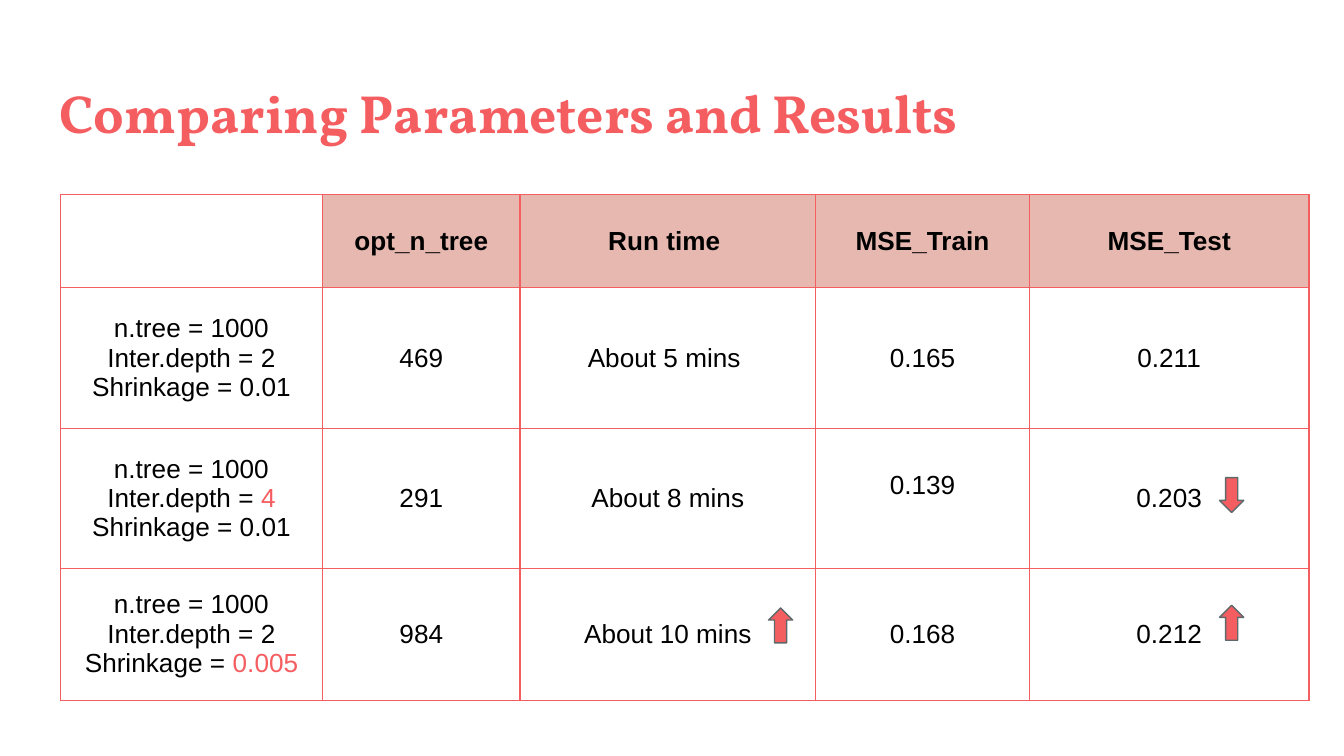
import pptx
import pptx.util
import pptx.dml.color
import pptx.enum.shapes
import pptx.enum.text
import pptx.oxml
import pptx.oxml.ns

Inches, Pt = pptx.util.Inches, pptx.util.Pt
MSO_SHAPE = pptx.enum.shapes.MSO_SHAPE
MSO_ANCHOR = pptx.enum.text.MSO_ANCHOR
PP_ALIGN = pptx.enum.text.PP_ALIGN

SLIDE_WIDTH = 10
SLIDE_HEIGHT = SLIDE_WIDTH * 9 / 16
CORAL, BLUSH, GREY, BLACK = "F55E61", "E6B8AF", "5E696C", "000000"
MARGIN = 0.1

COLUMNS = [1.95, 1.47, 2.2, 1.59, 2.08]
ROWS = [0.69, 1.05, 1.04, 0.98]
HEADERS = ["opt_n_tree", "Run time ", "MSE_Train", "MSE_Test"]
PARAMETERS = ["n.tree", "Inter.depth", "Shrinkage"]
TRIALS = [
    (["1000", "2", "0.01"], ["469", "About 5 mins ", "0.165", "0.211"]),
    (["1000", "4", "0.01"], ["291", "About 8 mins", "0.139", "0.203"]),
    (["1000", "2", "0.005"], ["984", "About 10 mins", "0.168", "0.212"]),
]
# Row, column, direction, then the arrow's corner as shares of its cell
TRENDS = [
    (3, 4, MSO_SHAPE.UP_ARROW, 0.68, 0.28),
    (2, 4, MSO_SHAPE.DOWN_ARROW, 0.68, 0.35),
    (3, 2, MSO_SHAPE.UP_ARROW, 0.84, 0.3),
]


def colour(hex_string):
    return pptx.dml.color.RGBColor.from_string(hex_string)


def set_font(font, name, size, hex_string, bold):
    font.name, font.size, font.bold = name, Pt(size), bold
    font.color.rgb = colour(hex_string)


def add_title(slide, left, top, width, height):
    title = slide.shapes.title
    title.left, title.top = Inches(left), Inches(top)
    title.width, title.height = Inches(width), Inches(height)
    frame = title.text_frame
    frame.text = "Comparing Parameters and Results"
    frame.auto_size = pptx.enum.text.MSO_AUTO_SIZE.NONE
    frame.vertical_anchor = MSO_ANCHOR.TOP
    frame.margin_left = frame.margin_right = Inches(MARGIN)
    frame.margin_top = frame.margin_bottom = Inches(MARGIN)
    heading = frame.paragraphs[0]
    heading.alignment = PP_ALIGN.LEFT
    set_font(heading.font, "Vollkorn", 28.8, CORAL, True)


def format_cell(cell, fill=None):
    """Borders go in before the fill, as the schema orders them."""
    properties = cell._tc.get_or_add_tcPr()
    for side in ("lnL", "lnR", "lnT", "lnB"):
        properties.append(pptx.oxml.parse_xml(
            f'<a:{side} {pptx.oxml.ns.nsdecls("a")} w="{Pt(0.75)}"><a:solidFill>'
            f'<a:srgbClr val="{CORAL}"/></a:solidFill></a:{side}>'))
    if fill:
        cell.fill.solid()
        cell.fill.fore_color.rgb = colour(fill)
    else:
        cell.fill.background()
    cell.vertical_anchor = MSO_ANCHOR.MIDDLE
    cell.margin_left = cell.margin_right = Inches(MARGIN)
    cell.margin_top = cell.margin_bottom = Inches(MARGIN)


def write_cell(cell, lines, bold=False):
    """Each line is a pair: plain text and a highlighted ending."""
    cell.text = "\n".join(plain for plain, _ in lines)
    for paragraph, (_, highlight) in zip(cell.text_frame.paragraphs, lines):
        paragraph.alignment = PP_ALIGN.CENTER
        set_font(paragraph.font, "Arial", 14, BLACK, bold)
        if highlight:
            changed = paragraph.add_run()
            changed.text = highlight
            changed.font.color.rgb = colour(CORAL)


def setting_lines(values):
    """Highlight the values that differ from the first trial."""
    baseline = TRIALS[0][0]
    return [(f"{name} = {value}", "") if value == base else (f"{name} = ", value)
            for name, value, base in zip(PARAMETERS, values, baseline)]


def add_results(slide, left, top):
    results = slide.shapes.add_table(
        len(ROWS), len(COLUMNS), Inches(left), Inches(top),
        Inches(sum(COLUMNS)), Inches(sum(ROWS))).table
    results.first_row = results.horz_banding = False
    for column, width in zip(results.columns, COLUMNS):
        column.width = Inches(width)
    for row, height in zip(results.rows, ROWS):
        row.height = Inches(height)

    for r in range(len(ROWS)):
        for c in range(len(COLUMNS)):
            format_cell(results.cell(r, c), BLUSH if r == 0 and c > 0 else None)
    for c, header in enumerate(HEADERS, 1):
        write_cell(results.cell(0, c), [(header, "")], bold=True)
    for r, (settings, measures) in enumerate(TRIALS, 1):
        write_cell(results.cell(r, 0), setting_lines(settings))
        for c, measure in enumerate(measures, 1):
            write_cell(results.cell(r, c), [(measure, "")])
    # The second training error sits slightly above the middle of its row
    results.cell(2, 3).margin_bottom = Inches(3 * MARGIN)


def add_trends(slide, left, top):
    for row, column, direction, across, down in TRENDS:
        x = left + sum(COLUMNS[:column]) + across * COLUMNS[column]
        y = top + sum(ROWS[:row]) + down * ROWS[row]
        arrow = slide.shapes.add_shape(
            direction, Inches(x), Inches(y), Inches(0.18), Inches(0.26))
        arrow.shadow.inherit = False
        arrow.fill.solid()
        arrow.fill.fore_color.rgb = colour(CORAL)
        arrow.line.color.rgb = colour(GREY)
        arrow.line.width = Pt(0.75)


def main():
    deck = pptx.Presentation()
    deck.slide_width, deck.slide_height = Inches(SLIDE_WIDTH), Inches(SLIDE_HEIGHT)
    slide = deck.slides.add_slide(deck.slide_layouts[5])
    add_title(slide, 0.34, 0.49, 9.32, 0.63)
    add_results(slide, 0.45, 1.45)
    add_trends(slide, 0.45, 1.45)
    deck.save("out.pptx")


if __name__ == "__main__":
    main()
